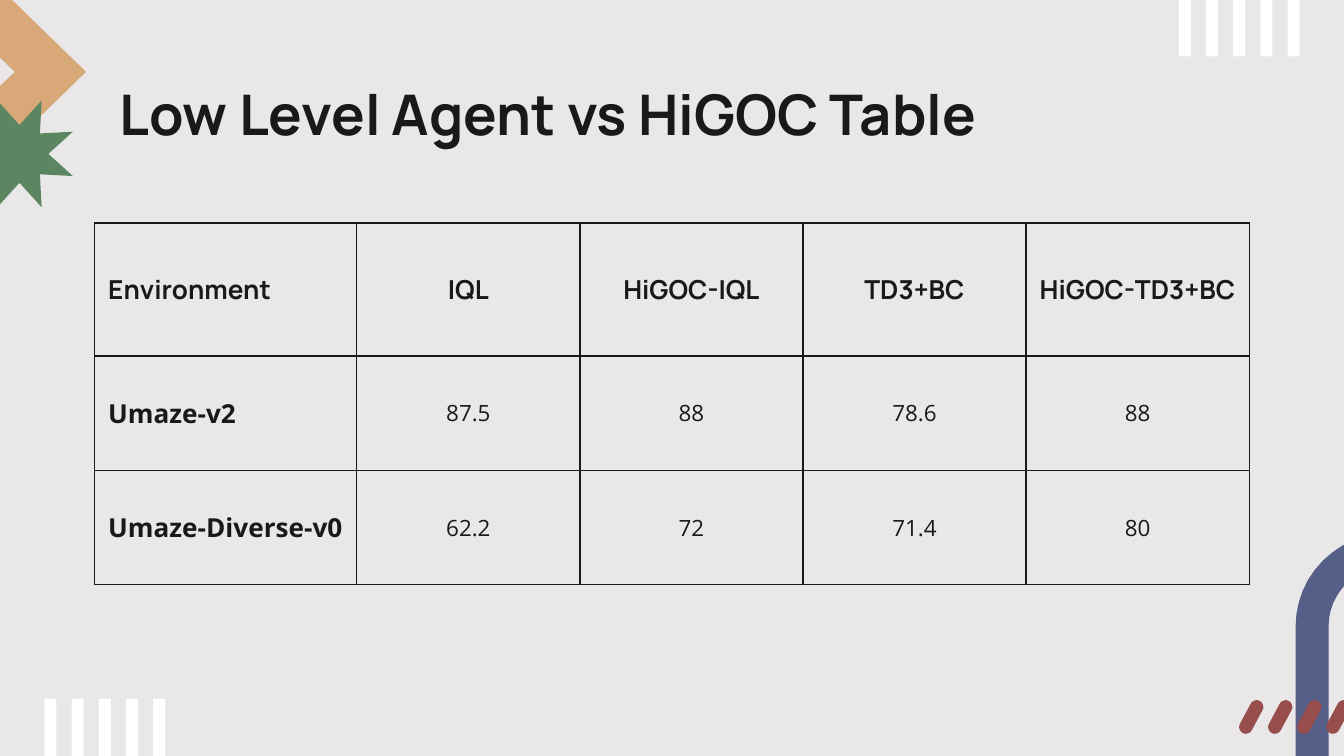
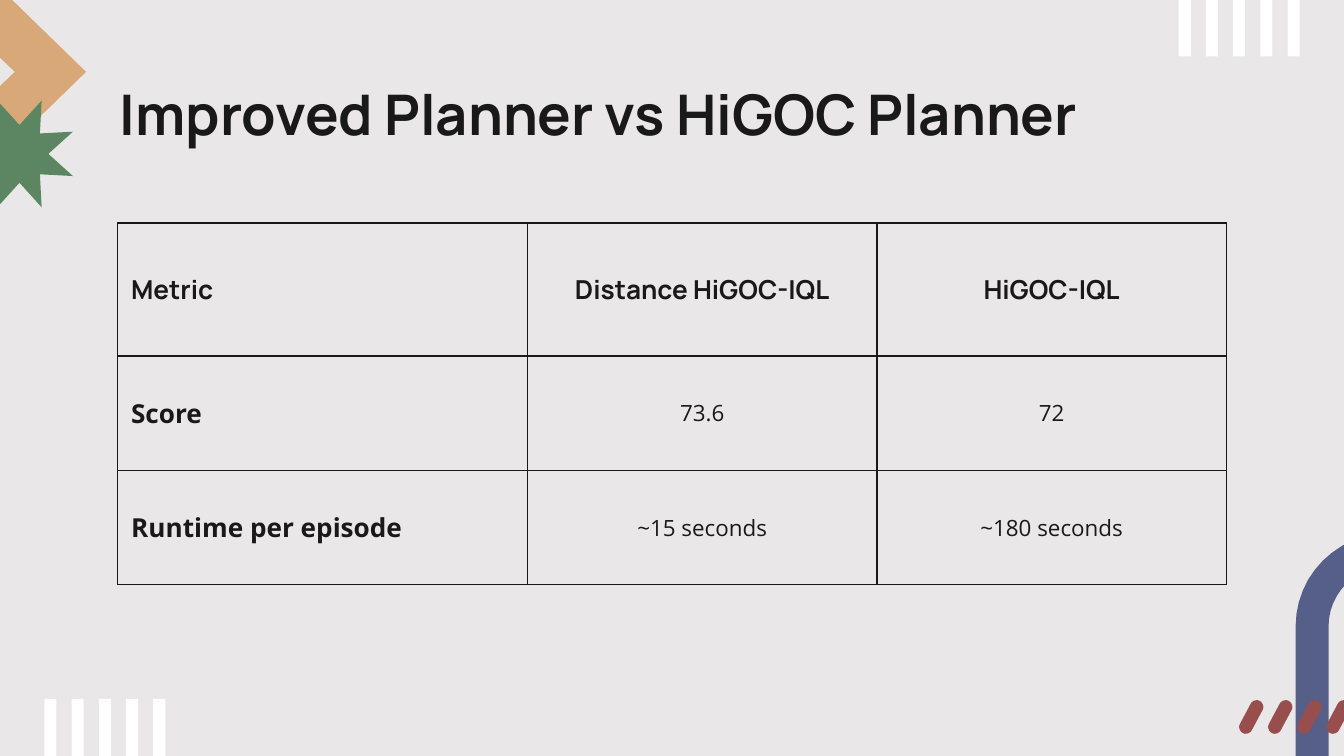
from math import cos, radians, sin

from lxml.etree import SubElement
from pptx import Presentation
from pptx.dml.color import RGBColor
from pptx.enum.shapes import MSO_SHAPE
from pptx.enum.text import MSO_ANCHOR, PP_ALIGN
from pptx.oxml.ns import qn
from pptx.util import Emu, Inches, Pt

# The slide is a grid of 1000 columns by 562.5 rows
COLUMNS, ROWS = 1000, 562.5
CELL = Inches(10) / COLUMNS
FINE = 10  # freeform points are rounded to a tenth of a cell

INK, PAPER, WHITE = "191919", "E9E7E8", "FFFFFF"
SAND, GREEN, NAVY, BRICK = "D8A879", "5C8662", "555F88", "974E4D"
HEADING_FONT, BODY_FONT = "Manrope", "Open Sans"

HEADER_ROW, BODY_ROW = 99, 85
TABLE_TOP = 166
BORDER_WIDTH = Pt(0.75)

AGENT_SCORES = [
    ["Environment", "IQL", "HiGOC-IQL", "TD3+BC", "HiGOC-TD3+BC"],
    ["Umaze-v2", "87.5", "88", "78.6", "88"],
    ["Umaze-Diverse-v0", "62.2", "72", "71.4", "80"],
]
PLANNER_SCORES = [
    ["Metric", "Distance HiGOC-IQL", "HiGOC-IQL"],
    ["Score", "73.6", "72"],
    ["Runtime per episode", "~15 seconds", "~180 seconds"],
]


def grid(cells):
    return Emu(round(cells * CELL))


def color(value):
    return RGBColor.from_string(value)


def write(frame, text, *, size, font=BODY_FONT, bold=False, ink=INK,
          align=PP_ALIGN.LEFT):
    paragraph = frame.paragraphs[0]
    paragraph.alignment = align
    run = paragraph.add_run()
    run.text = text
    run.font.size = Pt(size)
    run.font.name = font
    run.font.bold = bold
    run.font.color.rgb = color(ink)


# Decoration
def paint(shape, fill):
    shape.shadow.inherit = False
    shape.fill.solid()
    shape.fill.fore_color.rgb = color(fill)
    shape.line.fill.background()


def arc(x, y, radius, start, end, steps=24):
    angles = [radians(start + (end - start) * i / steps) for i in range(steps + 1)]
    return [(x + radius * cos(a), y + radius * sin(a)) for a in angles]


def outline(slide, fill, *contours):
    fine = [[(x * FINE, y * FINE) for x, y in contour] for contour in contours]
    builder = slide.shapes.build_freeform(*fine[0][0], scale=CELL / FINE)
    builder.add_line_segments(fine[0][1:], close=True)
    for hole in fine[1:]:
        builder.move_to(*hole[0])
        builder.add_line_segments(hole[1:], close=True)
    paint(builder.convert_to_shape(), fill)


def stripes(slide, left, top, count=5, pitch=20.25):
    for i in range(count):
        stripe = slide.shapes.add_shape(
            MSO_SHAPE.RECTANGLE, grid(left + i * pitch), grid(top), grid(9), grid(85))
        paint(stripe, WHITE)


def diamond(x, y, half_width, half_height):
    return [(x, y - half_height), (x - half_width, y),
            (x, y + half_height), (x + half_width, y)]


def star(x, y, outer, inner, tips=8):
    step = 180 / tips
    return [arc(x, y, outer if i % 2 else inner, i * step, i * step, 1)[0]
            for i in range(2 * tips)]


def arch(x, spring, radius, base):
    return [(x - radius, base), *arc(x, spring, radius, 180, 360), (x + radius, base)]


def dash(left, top, radius=5, tilt=26):
    return [*arc(left + 13, top + radius, radius, tilt - 180, tilt, 10),
            *arc(left + 5, top + 20, radius, tilt, tilt + 180, 10)]


def decorate(slide):
    stripes(slide, 877, -43)
    stripes(slide, 33, 520)
    outline(slide, SAND, diamond(-28.5, 53.5, 92.5, 90), diamond(-28.5, 53.5, 39.5, 38))
    outline(slide, GREEN, star(14.5, 114.5, 43, 21.5))
    outline(slide, NAVY, arch(1033, 466, 69, 670), arch(1033, 466, 44.5, 646))
    for i in reversed(range(4)):
        outline(slide, BRICK, dash(922 + i * 21.6, 521))


# Shared layout: background, title place and decoration
def prepare_layout(layout):
    layout.background.fill.solid()
    layout.background.fill.fore_color.rgb = color(PAPER)
    for holder in list(layout.placeholders):
        if holder.placeholder_format.idx:
            holder.element.getparent().remove(holder.element)
    title = layout.placeholders[0]
    title.left, title.top, title.width, title.height = map(grid, (79, 49, 843, 63))
    frame = title.text_frame
    frame.vertical_anchor = MSO_ANCHOR.TOP
    frame.margin_left = frame.margin_right = grid(10)
    frame.margin_top = frame.margin_bottom = grid(10)


def move_decoration(slide, layout):
    decorate(slide)
    for shape in list(slide.shapes):
        if not shape.is_placeholder:
            layout.shapes.element.append(shape.element)


# Tables
def draw_borders(cell):
    properties = cell._tc.get_or_add_tcPr()
    for side in ("a:lnL", "a:lnR", "a:lnT", "a:lnB"):
        line = SubElement(properties, qn(side), w=str(BORDER_WIDTH))
        fill = SubElement(line, qn("a:solidFill"))
        SubElement(fill, qn("a:srgbClr"), val=INK)


def fill_cell(cell, text, is_header, is_label):
    draw_borders(cell)
    cell.fill.background()
    cell.vertical_anchor = MSO_ANCHOR.MIDDLE
    cell.margin_left = cell.margin_right = grid(10 if is_header or is_label else 0)
    cell.margin_top = cell.margin_bottom = grid(7 if is_header else 0)
    strong = is_header or is_label
    write(cell.text_frame, text, size=14 if strong else 12, bold=strong,
          font=HEADING_FONT if is_header else BODY_FONT,
          align=PP_ALIGN.LEFT if is_label else PP_ALIGN.CENTER)


def score_table(slide, scores, label_width, score_width):
    widths = [label_width] + [score_width] * (len(scores[0]) - 1)
    heights = [HEADER_ROW] + [BODY_ROW] * (len(scores) - 1)
    table = slide.shapes.add_table(
        len(heights), len(widths), grid((COLUMNS - sum(widths)) / 2),
        grid(TABLE_TOP), grid(sum(widths)), grid(sum(heights))).table
    table.first_row = table.horz_banding = False
    for column, width in zip(table.columns, widths):
        column.width = grid(width)
    for row, height in zip(table.rows, heights):
        row.height = grid(height)
    for r, entries in enumerate(scores):
        for c, text in enumerate(entries):
            fill_cell(table.cell(r, c), text, is_header=r == 0, is_label=c == 0)


def score_slide(deck, layout, heading, scores, label_width, score_width):
    slide = deck.slides.add_slide(layout)
    write(slide.shapes.title.text_frame, heading, size=30, font=HEADING_FONT, bold=True)
    score_table(slide, scores, label_width, score_width)
    return slide


def main():
    deck = Presentation()
    deck.slide_width, deck.slide_height = grid(COLUMNS), grid(ROWS)
    layout = deck.slide_layouts.get_by_name("Title Only")
    prepare_layout(layout)

    # The first slide lends its canvas to the layout before the table is added
    agents = deck.slides.add_slide(layout)
    move_decoration(agents, layout)
    write(agents.shapes.title.text_frame, "Low Level Agent vs HiGOC Table",
          size=30, font=HEADING_FONT, bold=True)
    score_table(agents, AGENT_SCORES, 195, 166)

    score_slide(deck, layout, "Improved Planner vs HiGOC Planner",
                PLANNER_SCORES, 305, 260)
    deck.save("out.pptx")


if __name__ == "__main__":
    main()
